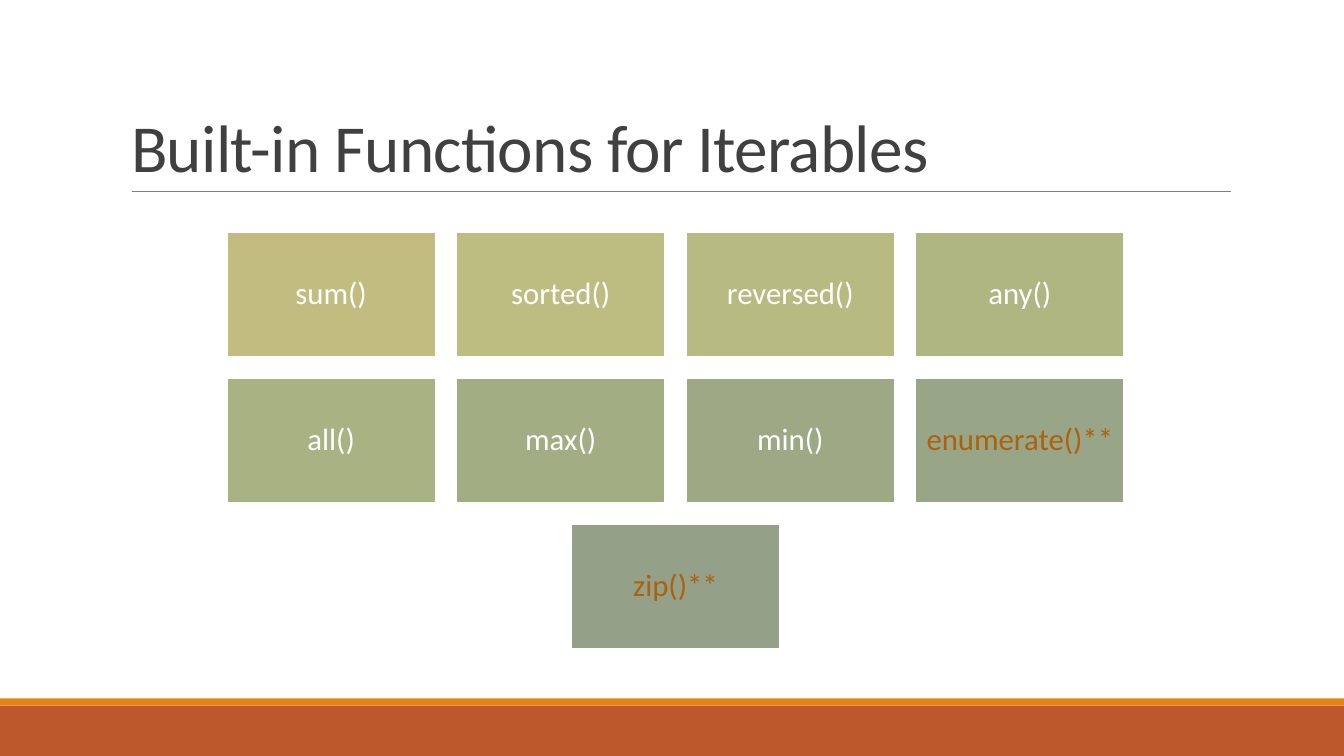
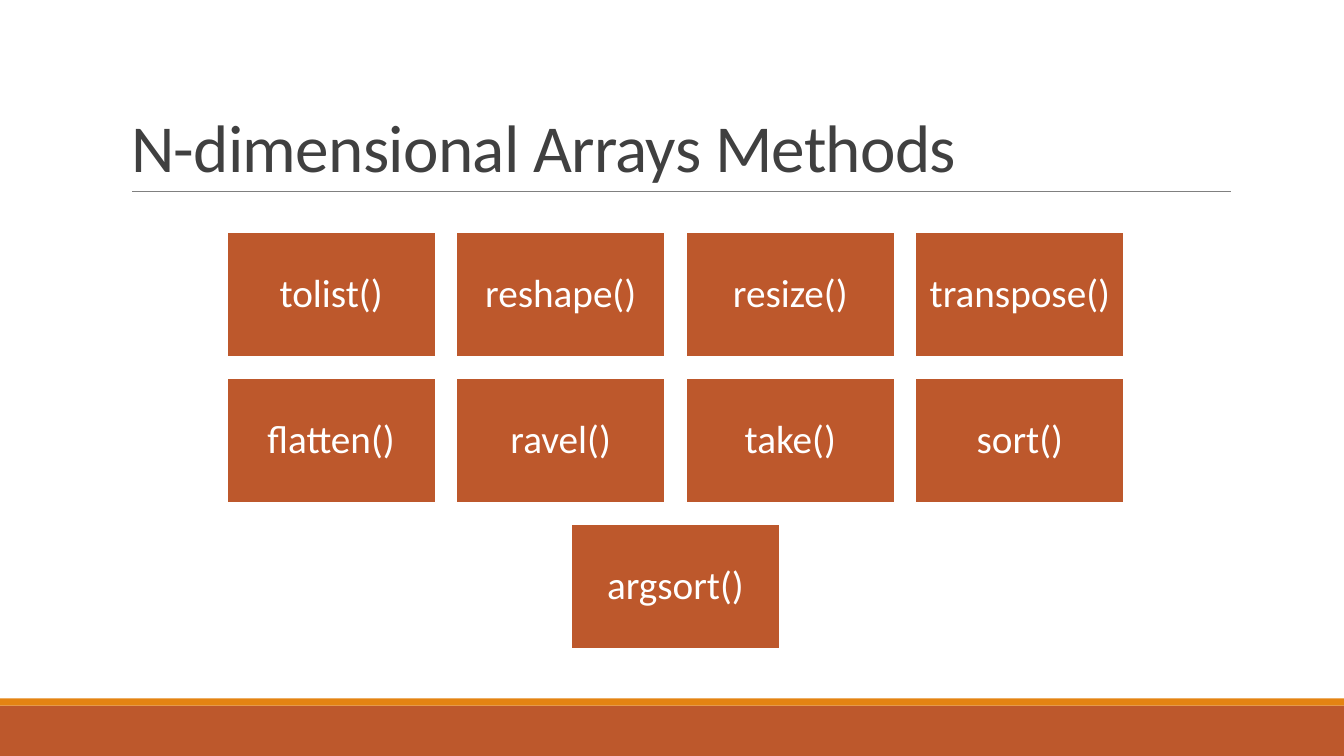
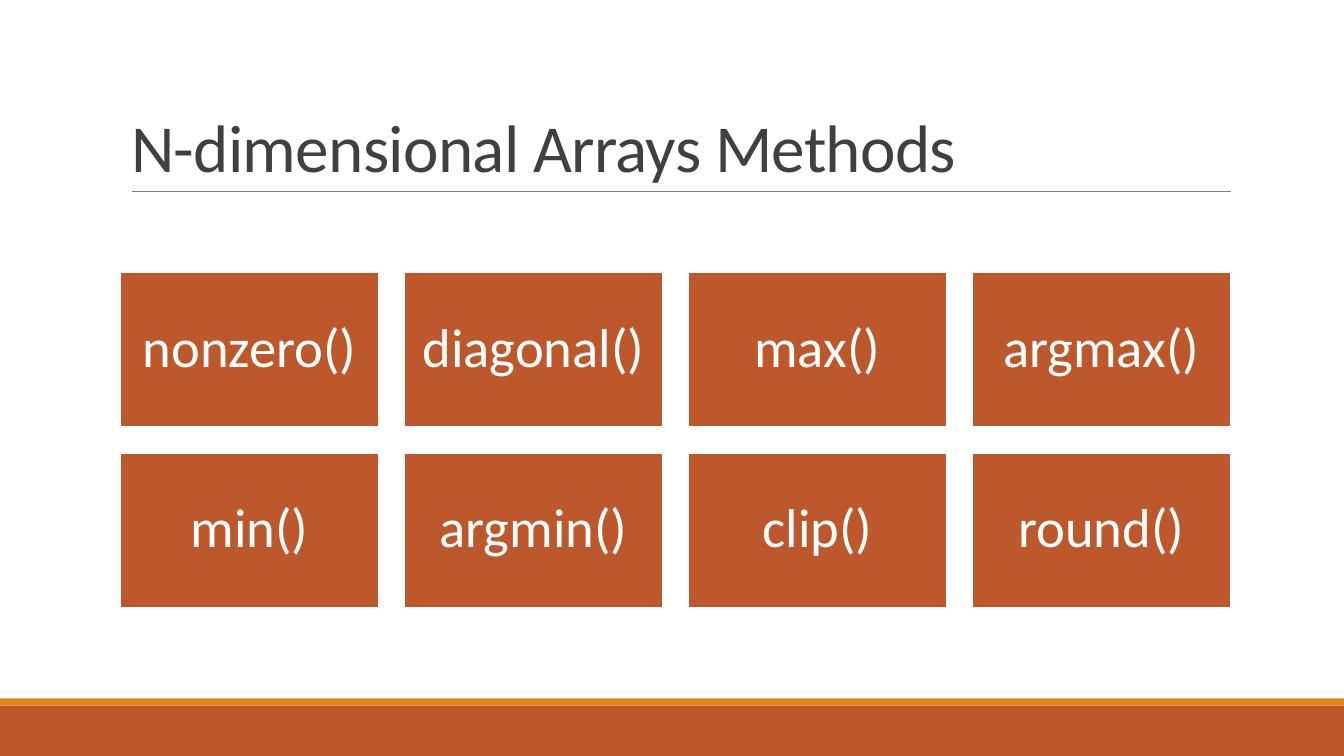
from lxml.etree import SubElement
from pptx import Presentation
from pptx.dml.color import RGBColor as Rgb
from pptx.enum.shapes import MSO_CONNECTOR as Conn, MSO_SHAPE as Kind
from pptx.enum.text import MSO_ANCHOR as Anchor, PP_ALIGN as Align
from pptx.oxml.ns import qn
from pptx.util import Emu, Pt

PX = 9144
WIDE, HIGH = 1333, 750
MID = 670
COLS = 4
FONT = "Calibri"
WHITE = Rgb(0xFF, 0xFF, 0xFF)
DARK = Rgb(0x40, 0x40, 0x40)
GREY = Rgb(0x80, 0x80, 0x80)
RUST = Rgb(0xBD, 0x58, 0x2C)
AMBER = Rgb(0xE4, 0x83, 0x12)
BROWN = Rgb(0xAB, 0x62, 0x0D)
MOSS = [
    Rgb(0xC2, 0xBC, 0x80), Rgb(0xBE, 0xBD, 0x81), Rgb(0xB7, 0xBA, 0x81),
    Rgb(0xAF, 0xB6, 0x82), Rgb(0xA8, 0xB2, 0x83), Rgb(0xA2, 0xAD, 0x84),
    Rgb(0x9D, 0xA9, 0x85), Rgb(0x98, 0xA5, 0x87), Rgb(0x94, 0xA0, 0x88),
]


def emu(*sizes):
    return [Emu(round(size * PX)) for size in sizes]


class Deck:
    def __init__(self):
        self.prs = Presentation()
        self.prs.slide_width, self.prs.slide_height = emu(WIDE, HIGH)

    def page(self, title):
        self.slide = self.prs.slides.add_slide(self.prs.slide_layouts[5])
        self.band(700, 50, RUST)
        self.band(693, 7, AMBER)
        self.rule(131, 1221, 190)
        self.title(title)

    def rect(self, left, top, width, height, fill):
        box = self.slide.shapes.add_shape(
            Kind.RECTANGLE, *emu(left, top, width, height))
        box.shadow.inherit = False
        box.fill.solid()
        box.fill.fore_color.rgb = fill
        return box

    def band(self, top, height, fill):
        self.rect(0, top, WIDE, height, fill).line.fill.background()

    def rule(self, left, right, top):
        line = self.slide.shapes.add_connector(
            Conn.STRAIGHT, *emu(left, top, right, top))
        line.line.color.rgb = GREY
        line.line.width = Pt(0.5)
        SubElement(line._element.spPr, qn("a:effectLst"))

    def label(self, frame, text, size, color, align, space, anchor):
        frame.text = text
        frame.word_wrap = True
        frame.vertical_anchor = anchor
        para = frame.paragraphs[0]
        para.alignment = align
        para.line_spacing = space
        run = para.runs[0]
        run.font.name = FONT
        run.font.size = Pt(size)
        run.font.color.rgb = color
        return run

    def title(self, text):
        box = self.slide.shapes.title
        box.left, box.top, box.width, box.height = emu(120, 31, 1100, 159)
        run = self.label(box.text_frame, text, 48, DARK,
                         Align.LEFT, 0.85, Anchor.BOTTOM)
        run.font._element.set("spc", "-50")

    def tile(self, text, left, top, width, height, fill, size):
        box = self.rect(left, top, width, height, fill)
        box.line.color.rgb = WHITE
        box.line.width = Pt(1.25)
        frame = box.text_frame
        inset = Pt(size * 0.3)
        frame.margin_left = frame.margin_right = inset
        frame.margin_top = frame.margin_bottom = inset
        color = BROWN if text.endswith("**") else WHITE
        self.label(frame, text, size, color, Align.CENTER, 0.9, Anchor.MIDDLE)

    def grid(self, names, fills, top, width, size):
        height, gap = width * 0.6, width * 0.1
        for i, (name, fill) in enumerate(zip(names, fills)):
            row, col = divmod(i, COLS)
            count = min(COLS, len(names) - row * COLS)
            start = MID - (count * (width + gap) - gap) / 2
            self.tile(name, start + col * (width + gap),
                      top + row * (height + gap), width, height, fill, size)


def main():
    deck = Deck()
    deck.page("Built-in Functions for Iterables")
    deck.grid(["sum()", "sorted()", "reversed()", "any()", "all()", "max()",
               "min()", "enumerate()**", "zip()**"], MOSS, 230, 207, 22)

    methods = "N-dimensional Arrays Methods"
    deck.page(methods)
    deck.grid(["tolist()", "reshape()", "resize()", "transpose()",
               "flatten()", "ravel()", "take()", "sort()", "argsort()"],
              [RUST] * 9, 230, 207, 28)

    deck.page(methods)
    deck.grid(["nonzero()", "diagonal()", "max()", "argmax()", "min()",
               "argmin()", "clip()", "round()"], [RUST] * 8, 270, 256, 39)
    deck.prs.save("out.pptx")


if __name__ == "__main__":
    main()
